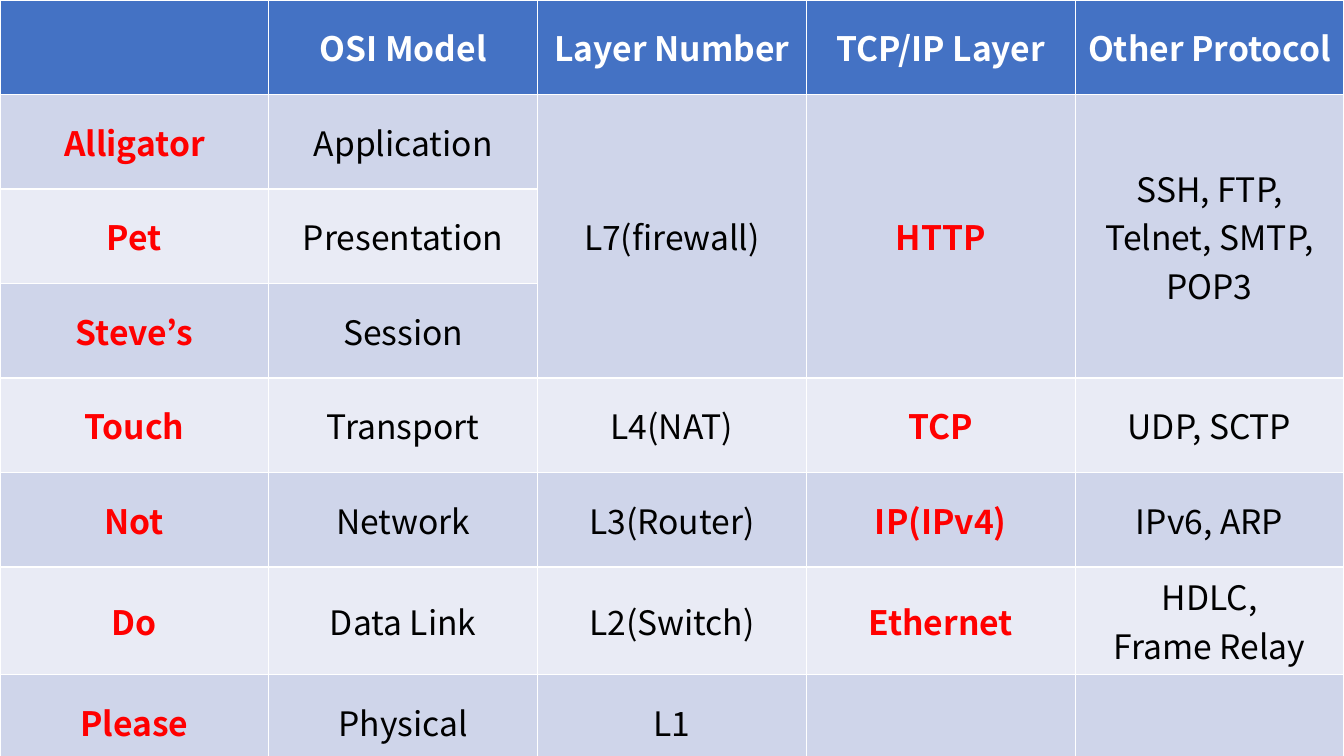
"""Build a slide with a table of the OSI layers and their protocols."""
from pptx import Presentation
from pptx.dml.color import RGBColor
from pptx.enum.text import MSO_ANCHOR, PP_ALIGN
from pptx.util import Inches, Pt

FONT = "Noto Sans CJK KR"
COLORS = {
    "head": "4472C4",
    "dark": "CFD5EA",
    "light": "E9EBF5",
    "white": "FFFFFF",
    "black": "000000",
    "red": "FF0000",
}
HEADS = ["", "OSI Model", "Layer Number", "TCP/IP Layer", "Other Protocol"]
LAYERS = [
    ["Alligator", "Application", "L7(firewall)", "HTTP", "SSH, FTP, Telnet, SMTP, POP3"],
    ["Pet", "Presentation", "", "", ""],
    ["Steve’s", "Session", "", "", ""],
    ["Touch", "Transport", "L4(NAT)", "TCP", "UDP, SCTP"],
    ["Not", "Network", "L3(Router)", "IP(IPv4)", "IPv6, ARP"],
    ["Do", "Data Link", "L2(Switch)", "Ethernet", "HDLC,\nFrame Relay"],
    ["Please", "Physical", "L1", "", ""],
]
RED_COLS = (0, 3)


def write(cell, text, fill, color="black", bold=False, size=24):
    cell.fill.solid()
    cell.fill.fore_color.rgb = RGBColor.from_string(COLORS[fill])
    cell.vertical_anchor = MSO_ANCHOR.MIDDLE
    cell.text = text
    for line in cell.text_frame.paragraphs:
        line.alignment = PP_ALIGN.CENTER
        font = line.font
        font.name, font.size, font.bold = FONT, Pt(size), bold
        font.color.rgb = RGBColor.from_string(COLORS[color])
        for run in line.runs:
            run.font.name, run.font.size, run.font.bold = FONT, Pt(size), bold
            run.font.color.rgb = RGBColor.from_string(COLORS[color])


deck = Presentation()
deck.slide_width, deck.slide_height = Inches(13.33), Inches(7.5)
slide = deck.slides.add_slide(deck.slide_layouts[6])

frame = slide.shapes.add_table(
    len(LAYERS) + 1, len(HEADS), 0, 0, deck.slide_width, deck.slide_height
)
table = frame.table

for col, text in enumerate(HEADS):
    write(table.cell(0, col), text, "head", color="white", bold=True)

for row, layer in enumerate(LAYERS, 1):
    fill = "dark" if row % 2 else "light"
    for col, text in enumerate(layer):
        red = col in RED_COLS
        write(table.cell(row, col), text, fill, color="red" if red else "black", bold=red)

for col in range(2, len(HEADS)):
    table.cell(1, col).merge(table.cell(3, col))

deck.save("out.pptx")
